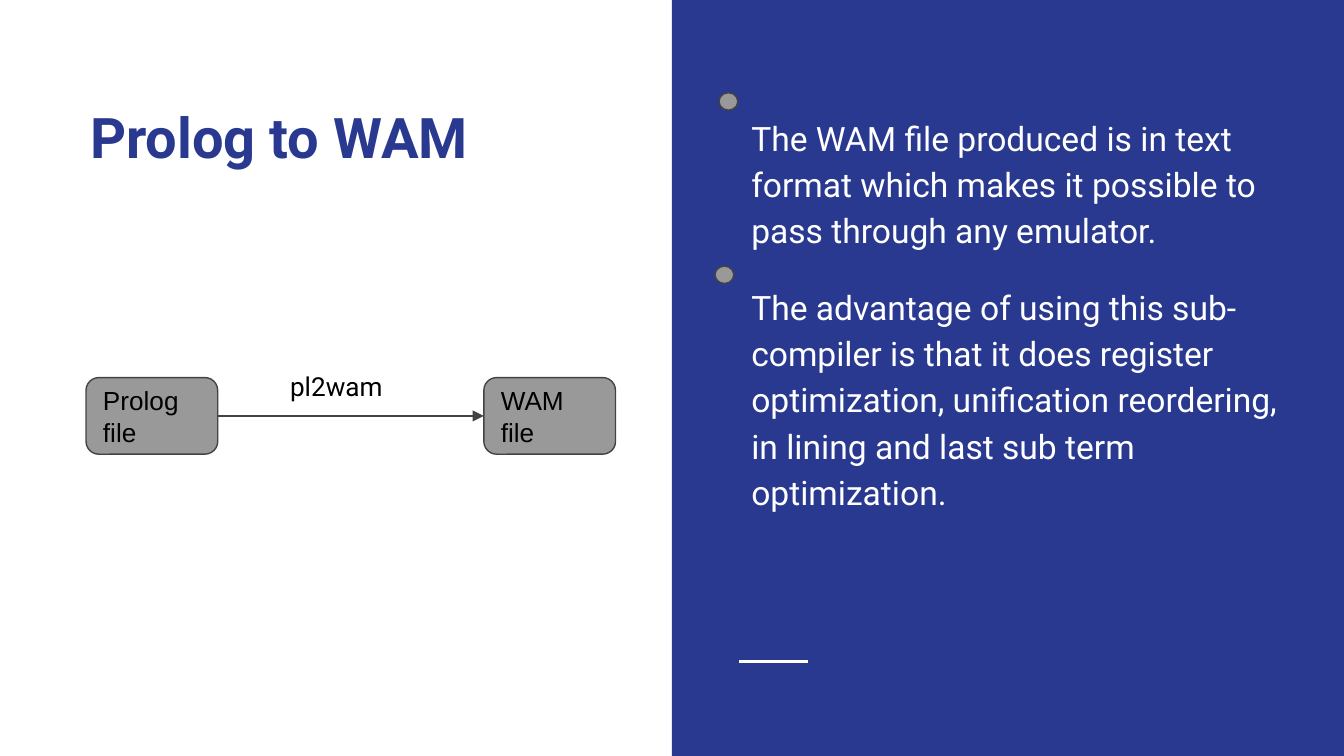
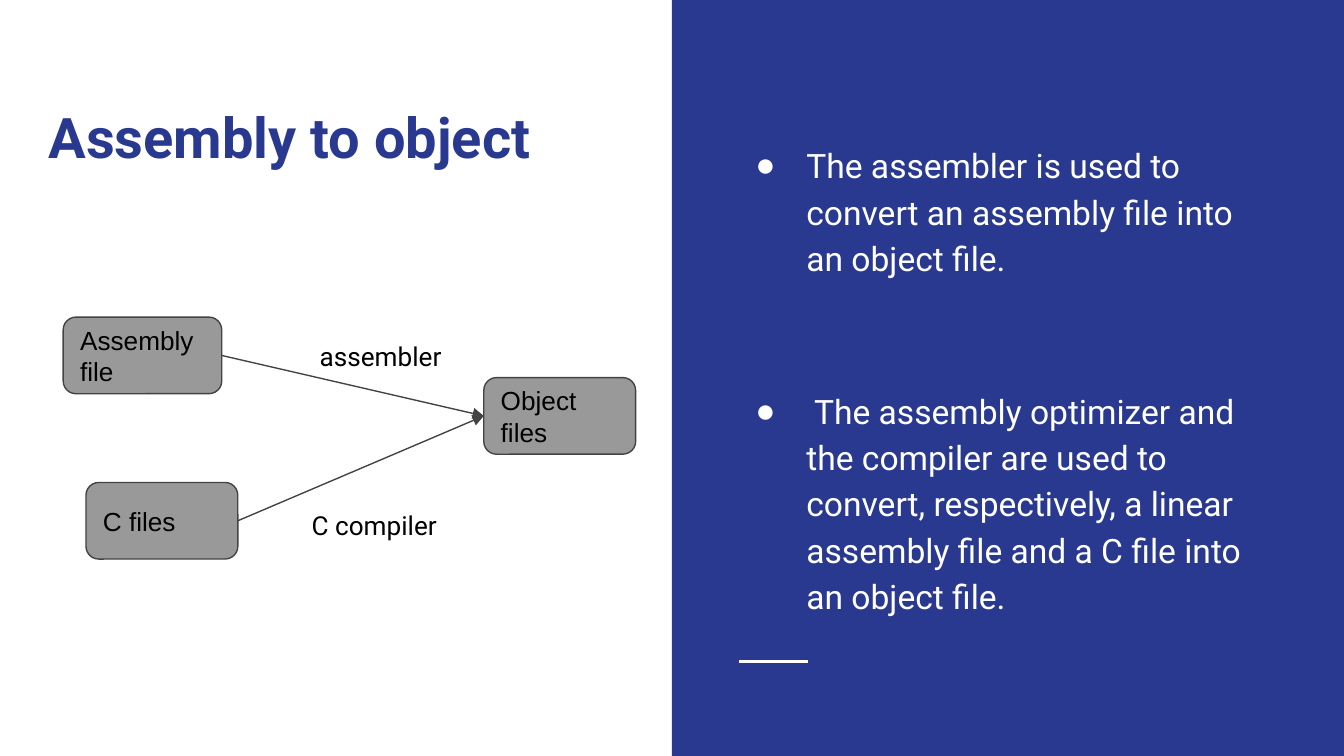
from lxml import etree
from pptx import Presentation
from pptx import util as u
from pptx.dml import color as co
from pptx.enum import shapes as sh, text as tx
from pptx.oxml import ns

BLUE, WHITE, BLACK = "2A3990", "FFFFFF", "000000"
GREY, EDGE = "999999", "434343"
FONT = "Roboto"
WIDE = 10
HIGH = WIDE * 9 / 16
PANEL = (WIDE / 2, 0, WIDE / 2, HIGH)
TITLE = (0.26, 0.35, 4.42, 1.71)
CHART = (0.47, 2.36, 4.26, 1.8)


def paint(fmt, tint):
    """Give a fill a solid colour."""
    fmt.solid()
    fmt.fore_color.rgb = co.RGBColor.from_string(tint)


def place(part, box):
    """Move a part to a box in inches."""
    part.left, part.top, part.width, part.height = map(u.Inches, box)


def write(frame, lines, size, tint, font=FONT, bold=False):
    """Fill a text frame with left-aligned paragraphs in one style."""
    frame.text = "\n".join(lines)
    frame.word_wrap = True
    frame.auto_size = tx.MSO_AUTO_SIZE.NONE
    frame.margin_left = frame.margin_right = u.Inches(0.1)
    frame.margin_top = frame.margin_bottom = u.Inches(0.1)
    for para in frame.paragraphs:
        para.alignment = tx.PP_ALIGN.LEFT
        for run in para.runs:
            run.font.name, run.font.size, run.font.bold = font, u.Pt(size), bold
            paint(run.font.fill, tint)


def stroke(slide, start, end, tint, width):
    """Draw a straight line without a shadow."""
    line = slide.shapes.add_connector(
        sh.MSO_CONNECTOR.STRAIGHT, *map(u.Inches, start + end))
    paint(line.line.fill, tint)
    line.line.width = u.Pt(width)
    etree.SubElement(line.element.spPr, ns.qn("a:effectLst"))
    return line


def solid(slide, kind, box, fill, edge=None):
    """Add a flat preset shape."""
    part = slide.shapes.add_shape(kind, *map(u.Inches, box))
    part.shadow.inherit = False
    paint(part.fill, fill)
    if edge:
        paint(part.line.fill, edge)
        part.line.width = u.Pt(0.75)
    else:
        part.line.fill.background()
    return part


def panel(slide, box):
    """Put the blue half and its short rule on the slide's layout."""
    x, y, _, _ = box
    half = solid(slide, sh.MSO_SHAPE.RECTANGLE, box, BLUE)
    rule = stroke(slide, (x + 0.5, y + 4.92), (x + 1.01, y + 4.92), WHITE, 1.5)
    tree = slide.slide_layout.shapes.element
    for spot, part in enumerate((half, rule), 2):
        tree.insert(spot, part.element)


def title(slide, box, words, inset=0.1):
    """Set the slide title in the left half."""
    head = slide.shapes.title
    place(head, box)
    frame = head.text_frame
    write(frame, [words], 30, BLUE, bold=True)
    frame.vertical_anchor = tx.MSO_ANCHOR.BOTTOM
    frame.margin_left, frame.margin_bottom = u.Inches(inset), u.Inches(0.8)


def points(slide, box, lines, anchor, gap, mark=None):
    """Set the white list, with round bullets if a mark is given."""
    body = slide.placeholders[1]
    place(body, box)
    frame = body.text_frame
    write(frame, lines, 18, WHITE)
    frame.vertical_anchor = anchor
    for rank, para in enumerate(frame.paragraphs):
        para.line_spacing = 1.15
        para.space_before = u.Pt(gap if rank else 0)
        prop = para._p.get_or_add_pPr()
        prop.set("marL", str(u.Inches(0.5 if mark else 0)))
        prop.set("indent", str(u.Inches(-0.38 if mark else 0)))
        if mark:
            tint = etree.SubElement(prop, ns.qn("a:buClr"))
            etree.SubElement(tint, ns.qn("a:srgbClr"), val=WHITE)
            etree.SubElement(prop, ns.qn("a:buChar"), char=mark)
        else:
            etree.SubElement(prop, ns.qn("a:buNone"))


def node(slide, box, x, y, width, words):
    """Add a grey file box at an offset within the chart box."""
    part = solid(slide, sh.MSO_SHAPE.FLOWCHART_ALTERNATE_PROCESS,
                 (box[0] + x, box[1] + y, width, 0.57), GREY, EDGE)
    write(part.text_frame, [words], 14, BLACK, "Arial")
    part.text_frame.vertical_anchor = tx.MSO_ANCHOR.MIDDLE
    return part


def label(slide, box, x, y, width, words):
    """Add the name of a step at an offset within the chart box."""
    part = slide.shapes.add_textbox(
        *map(u.Inches, (box[0] + x, box[1] + y, width, 0.44)))
    write(part.text_frame, [words], 14, BLACK)
    part.text_frame.auto_size = tx.MSO_AUTO_SIZE.SHAPE_TO_FIT_TEXT


def arrow(slide, first, last):
    """Join the right side of one node to the left side of another."""
    line = stroke(slide, (0, 0), (1, 1), EDGE, 0.75)
    line.begin_connect(first, 3)
    line.end_connect(last, 1)
    edge = line.element.spPr.find(ns.qn("a:ln"))
    etree.SubElement(edge, ns.qn("a:tailEnd"), type="triangle")


def flow(slide, box, goal, steps):
    """Draw each source node, its arrow to the goal and its label."""
    last = node(slide, box, *goal)
    for first, name in steps:
        arrow(slide, node(slide, box, *first), last)
        label(slide, box, *name)


def dots(slide, box, spots):
    """Add the small grey discs beside the list."""
    for x, y in spots:
        solid(slide, sh.MSO_SHAPE.FLOWCHART_CONNECTOR,
              (box[0] + x, box[1] + y, 0.14, 0.13), GREY, EDGE)


def prolog(slide):
    """Build the slide on the first step."""
    title(slide, TITLE, "Prolog to WAM", 0.41)
    points(slide, (5.49, 0.73, 4.2, 4.04), [
        "The WAM file produced is in text format which makes it possible "
        "to pass through any emulator.",
        "The advantage of using this sub-compiler is that it does register "
        "optimization, unification reordering, in lining and last sub term "
        "optimization.",
    ], tx.MSO_ANCHOR.TOP, 16)
    flow(slide, CHART, (3.13, 0.45, 0.98, "WAM file"), [
        ((0.17, 0.45, 0.98, "Prolog file"), (1.59, 0.3, 0.94, "pl2wam")),
    ])
    dots(slide, PANEL, [(0.35, 0.69), (0.32, 1.98)])


def assembly(slide):
    """Build the slide on the last step."""
    title(slide, TITLE, "Assembly to object")
    points(slide, (5.4, 0.79, 4.2, 4.04), [
        "The assembler is used to convert an assembly file into an object "
        "file.",
        " The assembly optimizer and the compiler are used to convert, "
        "respectively, a linear assembly file and a C file into an object "
        "file.",
    ], tx.MSO_ANCHOR.MIDDLE, 57, "●")
    flow(slide, CHART, (3.13, 0.45, 1.13, "Object files"), [
        ((0, 0, 1.18, "Assembly file"), (1.81, 0.07, 1.13, "assembler")),
        ((0.17, 1.23, 1.13, "C files"), (1.75, 1.33, 1.22, "C compiler")),
    ])


def main():
    """Build and save the deck."""
    deck = Presentation()
    deck.slide_width, deck.slide_height = u.Inches(WIDE), u.Inches(HIGH)
    layout = deck.slide_layouts[1]
    first, second = (deck.slides.add_slide(layout) for _ in range(2))
    panel(first, PANEL)
    prolog(first)
    assembly(second)
    deck.save("out.pptx")


if __name__ == "__main__":
    main()
